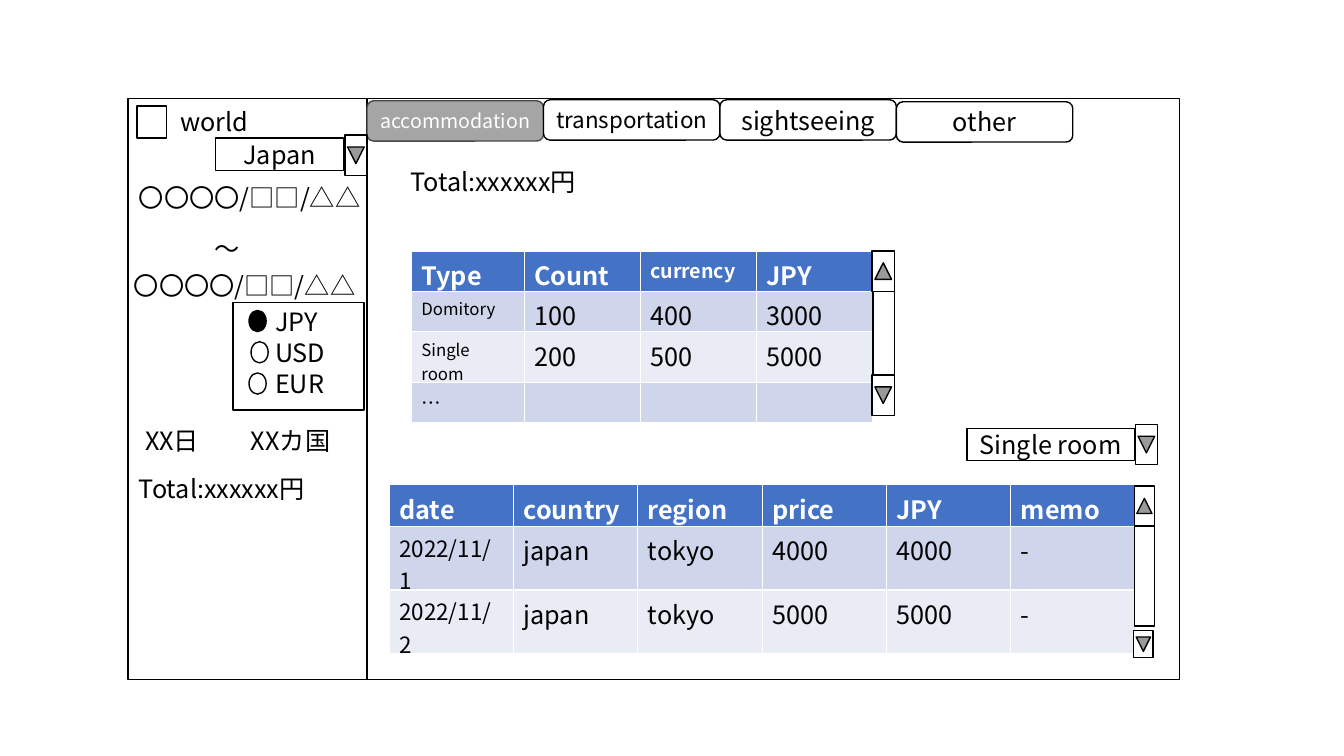
from lxml.etree import SubElement
from pptx import Presentation
from pptx.dml.color import RGBColor
from pptx.enum.shapes import MSO_SHAPE
from pptx.enum.text import MSO_ANCHOR, MSO_AUTO_SIZE, PP_ALIGN
from pptx.oxml.ns import qn
from pptx.util import Inches, Pt

FONT = "Noto Sans CJK JP"
BLACK, WHITE, GRAY, DARK_GRAY = "000000", "FFFFFF", "A5A5A5", "484848"
HEADER, BANDS = "4472C4", ("CFD5EA", "E9EBF5")
LINE_HEIGHT = 0.4
TAB_WIDTH, TAB_LEFT = 1.75, 3.64
OPTION_TOP, OPTION_STEP = 3.08, 0.31

PANELS = [(1.39, 0.98, 10.31, 5.76), (1.27, 0.98, 2.37, 5.76),
          (2.31, 3, 1.3, 1.07), (1.36, 1.05, 0.29, 0.32)]
CURRENCIES = [("JPY", 2.47, BLACK), ("USD", 2.49, WHITE), ("EUR", 2.47, WHITE)]
TABS = [("accommodation", 14, 1.0), ("transportation", 16, 0.99),
        ("sightseeing", 18, 0.99), ("other", 18, 1.01)]
LABELS = [("world", 1.69, 1.01, 1.27),
          ("〇〇〇〇/□□/△△", 1.28, 1.76, 2.86),
          ("～", 2.03, 2.27, 0.5),
          ("〇〇〇〇/□□/△△", 1.23, 2.63, 2.86),
          ("XX日", 1.34, 4.17, 1.58),
          ("XXカ国", 2.39, 4.17, 1.58),
          ("Total:xxxxxx円", 1.28, 4.65, 2.02),
          ("Total:xxxxxx円", 3.97, 1.6, 2.02)]
DROPDOWNS = [("Japan", (2.14, 1.37, 1.27, 0.32), (3.53, 1.54)),
             ("Single room", (9.59, 4.25, 1.66, 0.32), (11.37, 4.41))]
ROOMS = [["Type", "Count", "currency", "JPY"],
         ["Domitory", "100", "400", "3000"],
         ["Single room", "200", "500", "5000"],
         ["…", "", "", ""]]
ROOM_SIZES = {"currency": 14, "Domitory": 12, "Single room": 12, "…": 14}
STAYS = [["date", "country", "region", "price", "JPY", "memo"],
         ["2022/11/1", "japan", "tokyo", "4000", "4000", "-"],
         ["2022/11/2", "japan", "tokyo", "5000", "5000", "-"]]
STAY_SIZES = {"2022/11/1": 16, "2022/11/2": 16}
SCROLLBARS = [((8.66, 2.83, 0.21, 1), (8.76, 2.69, 0.4, 0.22), (8.76, 3.92, 0.4, 0.22)),
              ((11.25, 5.22, 0.2, 0.99), (11.35, 5.02, 0.4, 0.2), (11.34, 6.39, 0.27, 0.19))]


def color(value):
    """Turn a hex string into a colour."""
    return RGBColor.from_string(value)


def write(frame, text, size=18, ink=BLACK, bold=False, align=PP_ALIGN.LEFT):
    """Write one formatted line into a text frame."""
    para = frame.paragraphs[0]
    para.alignment = align
    span = para.add_run()
    span.text = text
    span.font.name = FONT
    span.font.size = Pt(size)
    span.font.bold = bold
    span.font.color.rgb = color(ink)
    SubElement(span.font._element, qn("a:ea"), typeface=FONT)


def add_box(slide, area, kind=MSO_SHAPE.RECTANGLE, fill=WHITE, line=BLACK):
    """Draw an outlined shape in an area given in inches."""
    shape = slide.shapes.add_shape(kind, *map(Inches, area))
    shape.shadow.inherit = False
    shape.fill.solid()
    shape.fill.fore_color.rgb = color(fill)
    shape.line.color.rgb = color(line)
    shape.line.width = Pt(1)
    return shape


def add_caption(shape, text, **style):
    """Centre a caption in a shape."""
    shape.text_frame.vertical_anchor = MSO_ANCHOR.MIDDLE
    write(shape.text_frame, text, align=PP_ALIGN.CENTER, **style)


def add_label(slide, text, left, top, width):
    """Place a line of free text."""
    box = slide.shapes.add_textbox(*map(Inches, (left, top, width, LINE_HEIGHT)))
    box.text_frame.word_wrap = True
    box.text_frame.auto_size = MSO_AUTO_SIZE.SHAPE_TO_FIT_TEXT
    write(box.text_frame, text)


def add_arrow_button(slide, center_x, center_y, width=0.4, height=0.22, turn=270):
    """Draw a turned arrow button around its centre."""
    area = (center_x - width / 2, center_y - height / 2, width, height)
    button = add_box(slide, area, MSO_SHAPE.ACTION_BUTTON_BACK_OR_PREVIOUS)
    button.rotation = turn


def add_grid(slide, rows, area, widths, row_height, sizes):
    """Add a banded table with a header row."""
    table = slide.shapes.add_table(len(rows), len(widths), *map(Inches, area)).table
    for column, width in zip(table.columns, widths):
        column.width = Inches(width)
    for index, texts in enumerate(rows):
        table.rows[index].height = Inches(row_height)
        heading = index == 0
        for column, text in enumerate(texts):
            cell = table.cell(index, column)
            cell.fill.solid()
            cell.fill.fore_color.rgb = color(HEADER if heading else BANDS[(index - 1) % 2])
            if text:
                write(cell.text_frame, text, size=sizes.get(text, 18),
                      ink=WHITE if heading else BLACK, bold=heading)


def main():
    """Build the travel cost screen."""
    deck = Presentation()
    deck.slide_width, deck.slide_height = Inches(13.33), Inches(7.5)
    slide = deck.slides.add_slide(deck.slide_layouts[6])

    for area in PANELS:
        add_box(slide, area)
    for index, (name, left, fill) in enumerate(CURRENCIES):
        top = OPTION_TOP + index * OPTION_STEP
        add_box(slide, (left, top, 0.17, 0.21), MSO_SHAPE.OVAL, fill)
        add_label(slide, name, 2.63, top - 0.09, 0.9)
    for index, (name, size, top) in enumerate(TABS):
        active = index == 0
        tab = add_box(slide, (TAB_LEFT + index * TAB_WIDTH, top, TAB_WIDTH, LINE_HEIGHT),
                      MSO_SHAPE.ROUNDED_RECTANGLE,
                      GRAY if active else WHITE, DARK_GRAY if active else BLACK)
        add_caption(tab, name, size=size, ink=WHITE if active else BLACK)

    add_grid(slide, ROOMS, (4.08, 2.49, 4.58, 1.6), [1.12] + [1.15] * 3, 0.35, ROOM_SIZES)
    add_grid(slide, STAYS, (3.86, 4.81, 7.4, 1.67), [7.4 / 6] * 6, 0.41, STAY_SIZES)
    for track, upper, lower in SCROLLBARS:
        add_box(slide, track)
        add_arrow_button(slide, *upper, turn=90)
        add_arrow_button(slide, *lower)
    for label in LABELS:
        add_label(slide, *label)
    for text, area, center in DROPDOWNS:
        add_caption(add_box(slide, area), text)
        add_arrow_button(slide, *center)

    deck.save("out.pptx")


if __name__ == "__main__":
    main()
